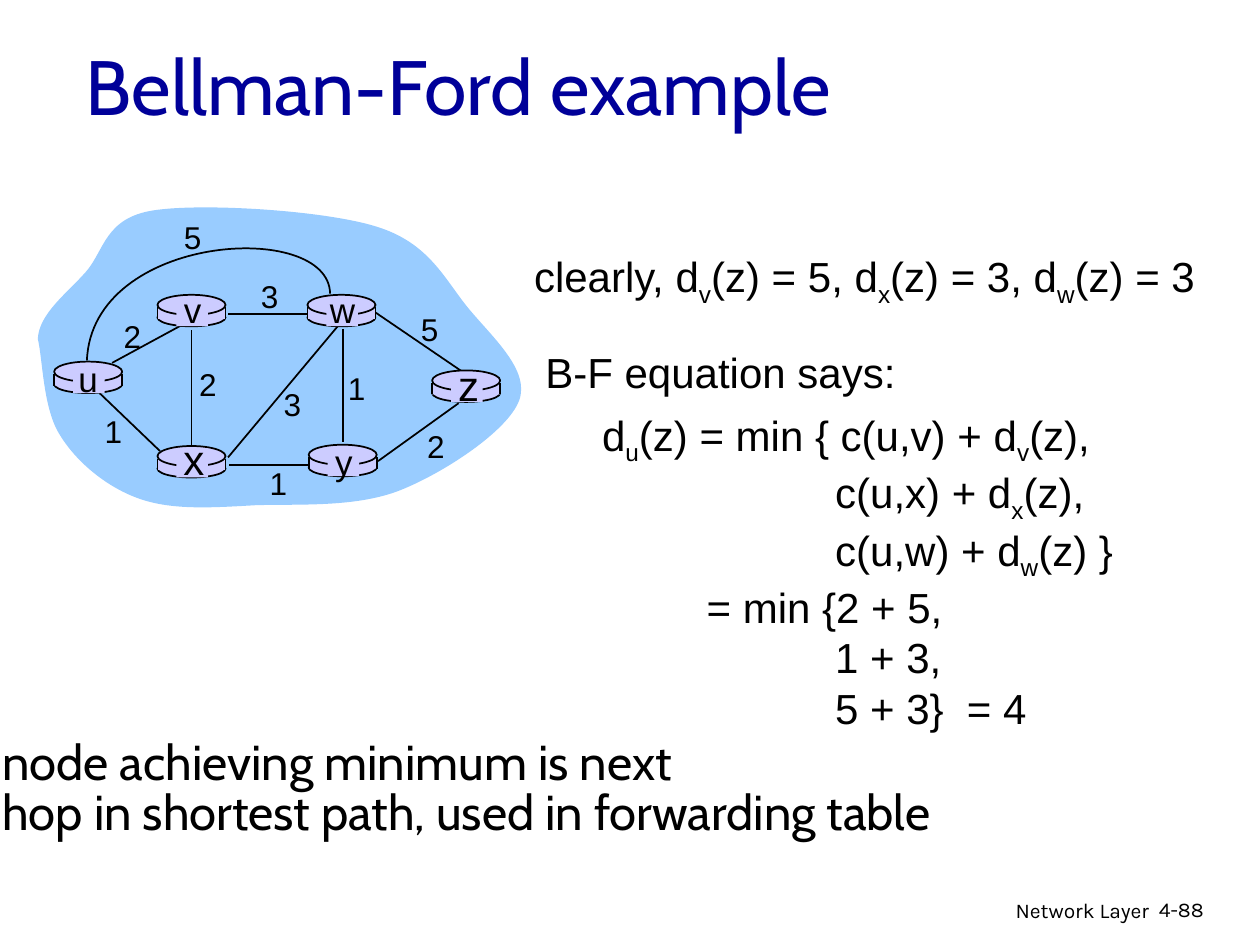
from dataclasses import dataclass
from lxml.etree import SubElement
from pptx import Presentation
from pptx.dml.color import RGBColor
from pptx.enum.shapes import MSO_CONNECTOR, MSO_SHAPE
from pptx.enum.text import MSO_ANCHOR, MSO_AUTO_SIZE, PP_ALIGN
from pptx.oxml.ns import qn
from pptx.util import Inches, Pt


@dataclass(frozen=True)
class Theme:
    ink: RGBColor = RGBColor(0, 0, 0)
    navy: RGBColor = RGBColor(0, 0, 0x99)
    cloud: RGBColor = RGBColor(0x99, 0xCC, 0xFF)
    lilac: RGBColor = RGBColor(0xCC, 0xCC, 0xFF)
    sans: str = "Arial"
    head: str = "Cabin"
    foot: str = "Karla"
    title: int = 44
    note: int = 28
    body: int = 24
    node: int = 20
    cost: int = 18
    small: int = 12
    line: int = 1


T = Theme()

CLOUD = [
    (0, 1.08), (0.01, 0.88), (0.23, 0.72), (0.38, 0.55),
    (0.53, 0.38), (0.53, 0.12), (0.92, 0.06),
    (1.31, 0), (2.28, 0.06), (2.69, 0.19),
    (3.11, 0.32), (3.23, 0.61), (3.42, 0.84),
    (3.61, 1.07), (3.91, 1.33), (3.82, 1.57),
    (3.73, 1.81), (3.23, 2.14), (2.88, 2.28),
    (2.53, 2.42), (2.07, 2.39), (1.73, 2.4),
    (1.38, 2.42), (1.07, 2.44), (0.81, 2.35),
    (0.55, 2.26), (0.31, 2.06), (0.18, 1.85),
    (0.04, 1.64), (0.04, 1.24), (0, 1.08),
]
ARC = [(2.32, 0.72), (2.31, 0.13), (0.43, 0.24), (0.39, 1.25)]
EDGES = [
    ((0.59, 1.27), (1.18, 0.95)),
    ((2.42, 1), (2.42, 1.9)),
    ((1.22, 1.01), (1.22, 1.94)),
    ((1.51, 2.02), (2.38, 0.98)),
    ((2.7, 2.05), (3.34, 1.59)),
    ((2.15, 2.08), (1.52, 2.08)),
    ((0.97, 1.97), (0.49, 1.51)),
    ((2.14, 0.88), (1.51, 0.88)),
    ((3.37, 1.34), (2.68, 0.87)),
]
COSTS = [
    ("2", 0.75, 1.06), ("1", 2.53, 1.47), ("2", 1.35, 1.44),
    ("3", 2.02, 1.6), ("2", 3.16, 1.93), ("1", 1.91, 2.22),
    ("1", 0.6, 1.81), ("3", 1.84, 0.74), ("5", 3.11, 1),
    ("5", 1.23, 0.27),
]
NODES = [
    ("u", 0.13, 1.26, T.node, 0.27, 0.13),
    ("y", 2.15, 1.92, T.node, 0.28, 0.13),
    ("x", 0.95, 1.93, T.body, 0.29, 0.1),
    ("w", 2.14, 0.73, T.node, 0.28, 0.12),
    ("v", 0.95, 0.73, T.node, 0.28, 0.12),
    ("z", 3.13, 1.33, T.body, 0.29, 0.11),
]
STEPS = [
    ("d_u(z) = min { c(u,v) + d_v(z),", 0),
    ("c(u,x) + d_x(z),", 1.85),
    ("c(u,w) + d_w(z) }", 1.85),
    ("= min {2 + 5,", 0.83),
    ("1 + 3,", 1.85),
    ("5 + 3}  = 4", 1.85),
]


def write(frame, text, size=T.body, font=T.sans, color=T.ink,
          align=PP_ALIGN.LEFT, anchor=MSO_ANCHOR.TOP, wrap=False,
          space=None, dents=()):
    frame.word_wrap = wrap
    frame.auto_size = MSO_AUTO_SIZE.NONE
    frame.vertical_anchor = anchor
    for i, line in enumerate(text.split("\n")):
        para = frame.paragraphs[0] if i == 0 else frame.add_paragraph()
        para.alignment = align
        if space:
            para.line_spacing = space
        if dents and dents[i]:
            props = para._p.get_or_add_pPr()
            props.set("marL", str(Inches(dents[i])))
            props.set("indent", "0")
        first, *rest = line.split("_")
        parts = [(first, False)]
        for part in rest:
            parts += [(part[0], True), (part[1:], False)]
        for words, sub in parts:
            run = para.add_run()
            run.text = words
            run.font.size = Pt(size)
            run.font.name = font
            run.font.color.rgb = color
            if sub:
                run._r.get_or_add_rPr().set("baseline", "-25000")


def say(shapes, text, box, **style):
    frame = shapes.add_textbox(*map(Inches, box)).text_frame
    write(frame, text, **style)


def tag(shapes, text, x, y, size):
    wide, high = 0.34, size / 60 + 0.1
    say(shapes, text, (x - wide / 2, y - high / 2, wide, high), size=size,
        align=PP_ALIGN.CENTER, anchor=MSO_ANCHOR.MIDDLE)


def paint(shape, fill=None, line=False):
    shape.shadow.inherit = False
    if fill is None:
        shape.fill.background()
    else:
        shape.fill.solid()
        shape.fill.fore_color.rgb = fill
    if line:
        shape.line.color.rgb = T.ink
        shape.line.width = Pt(T.line)
    else:
        shape.line.fill.background()


def link(shapes, start, end):
    line = shapes.add_connector(MSO_CONNECTOR.STRAIGHT,
                                *map(Inches, (*start, *end)))
    line.line.color.rgb = T.ink
    line.line.width = Pt(T.line)
    SubElement(line._element.spPr, qn("a:effectLst"))


def curve(shapes, knots, left, top, close=False, **look):
    points = [(Inches(left + x), Inches(top + y)) for x, y in knots]
    pen = shapes.build_freeform(*points[0])
    pen.add_line_segments(points[1:], close=close)
    shape = pen.convert_to_shape()
    legs = list(shape._element.iter(qn("a:lnTo")))
    for k in range(0, len(knots) - 1, 3):
        bend = legs[k]
        bend.tag = qn("a:cubicBezTo")
        for leg in legs[k + 1:k + 3]:
            bend.append(leg[0])
            leg.getparent().remove(leg)
    paint(shape, **look)


def router(shapes, name, left, top, size, x, y):
    def part(kind, x, y, wide, high, line=False):
        box = map(Inches, (left + x, top + y, wide, high))
        paint(shapes.add_shape(kind, *box), T.lilac, line)

    wide = 0.54
    part(MSO_SHAPE.OVAL, 0, 0.11, wide, 0.14, True)
    part(MSO_SHAPE.RECTANGLE, 0, 0.1, wide, 0.09)
    for side in (left, left + wide):
        link(shapes, (side, top + 0.1), (side, top + 0.19))
    part(MSO_SHAPE.OVAL, 0, 0, wide, 0.16, True)
    part(MSO_SHAPE.RECTANGLE, 0.15, 0.02, 0.25, 0.23)
    tag(shapes, name, left + x, top + y, size)


def network(slide, left, top):
    shapes = slide.shapes.add_group_shape().shapes
    curve(shapes, CLOUD, left, top, close=True, fill=T.cloud)
    for start, end in EDGES:
        link(shapes, (left + start[0], top + start[1]),
             (left + end[0], top + end[1]))
    curve(shapes, ARC, left, top, line=True)
    for name, x, y, *label in NODES:
        router(shapes, name, left + x, top + y, *label)
    for cost, x, y in COSTS:
        tag(shapes, cost, left + x, top + y, T.cost)


def proof(slide, left, top):
    shapes = slide.shapes
    say(shapes, "clearly, d_v(z) = 5, d_x(z) = 3, d_w(z) = 3",
        (left, top, 5.47, 0.56))
    say(shapes, "B-F equation says:", (left + 0.09, top + 0.76, 2.98, 0.5))
    lines, dents = zip(*STEPS)
    say(shapes, "\n".join(lines), (left + 0.54, top + 1.26, 4.25, 2.67),
        dents=dents)


def header(slide, left, top, wide, high):
    title = slide.shapes.title
    title.left, title.top, title.width, title.height = map(
        Inches, (left, top, wide, high))
    write(title.text_frame, "Bellman-Ford example", size=T.title, font=T.head,
          color=T.navy, anchor=MSO_ANCHOR.MIDDLE, wrap=True)


def footer(slide, left, top):
    style = dict(size=T.small, font=T.foot, wrap=True)
    say(slide.shapes, "Network Layer", (left, top, 3.17, 0.31),
        align=PP_ALIGN.RIGHT, **style)
    say(slide.shapes, "4-88", (left + 3.05, top, 0.74, 0.3), **style)


def main():
    deck = Presentation()
    deck.slide_width, deck.slide_height = Inches(10), Inches(7.5)
    slide = deck.slides.add_slide(deck.slide_layouts[5])
    footer(slide, 6.05, 7.07)
    header(slide, 0.58, 0.19, 8.5, 0.96)
    network(slide, 0.3, 1.61)
    proof(slide, 4.14, 1.94)
    say(slide.shapes, "node achieving minimum is next\n"
        "hop in shortest path, used in forwarding table",
        (-0.08, 5.83, 8.58, 0.9), size=T.note, font=T.head, space=0.85)
    deck.save("out.pptx")


if __name__ == "__main__":
    main()
